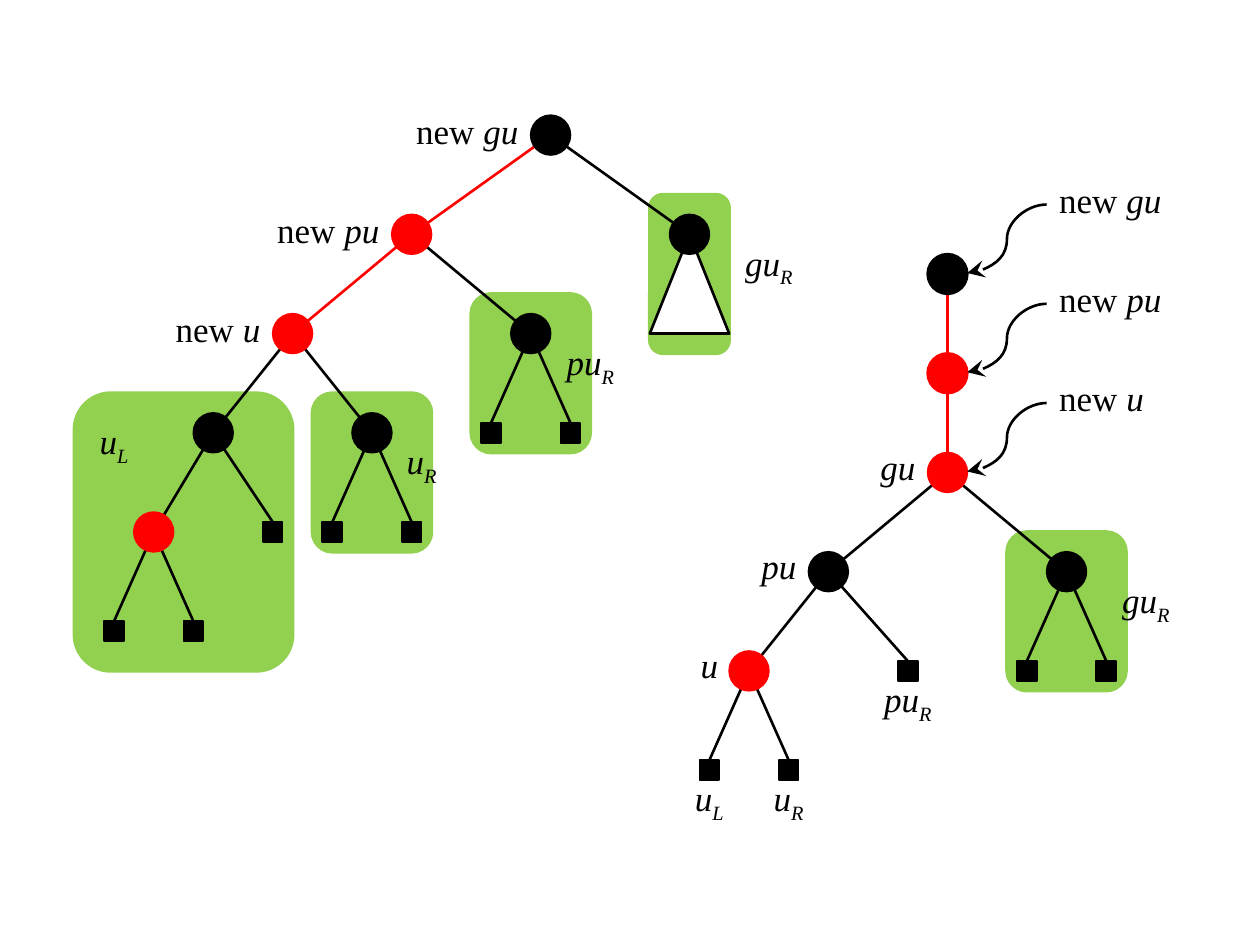
from dataclasses import dataclass
from typing import Any

from lxml.etree import SubElement
from pptx import Presentation
from pptx.dml.color import RGBColor as RGB
from pptx.enum.shapes import MSO_CONNECTOR as Link, MSO_SHAPE as Kind
from pptx.enum.text import MSO_ANCHOR as Anchor, PP_ALIGN as Align
from pptx.oxml.ns import qn
from pptx.util import Pt


@dataclass(frozen=True)
class Theme:
    black: RGB = RGB(0, 0, 0)
    white: RGB = RGB(255, 255, 255)
    red: RGB = RGB(255, 0, 0)
    green: RGB = RGB(0x92, 0xD0, 0x50)
    font: str = "Times New Roman"
    size: float = 20
    edge: float = 1.5
    rim: float = 1
    step: float = 11.34
    left: float = -2.88
    top: float = -2.16


THEME = Theme()
LEVEL = 5
RED, BLACK = THEME.red, THEME.black


@dataclass(frozen=True)
class Box:
    x: float
    y: float
    w: float
    h: float


@dataclass(frozen=True)
class Node:
    x: float
    hue: RGB
    kids: tuple["Node", ...] = ()
    link: RGB = BLACK
    leaf: bool = False
    cone: bool = False
    rim: float = THEME.rim


@dataclass(frozen=True)
class Label:
    box: Box
    name: str
    sub: str = ""
    lead: str = ""
    align: Align = Align.CENTER
    side: float = 7.2


def px(x: float) -> Pt:
    return Pt(x * THEME.step + THEME.left)


def py(y: float) -> Pt:
    return Pt(y * THEME.step + THEME.top)


def span(n: float) -> Pt:
    return Pt(n * THEME.step)


def place(box: Box) -> tuple[Pt, Pt, Pt, Pt]:
    return px(box.x), py(box.y), span(box.w), span(box.h)


def shape(page: Any, kind: Kind, box: Box, fill: RGB, line: RGB, width: float) -> None:
    item = page.shapes.add_shape(kind, *place(box))
    item.shadow.inherit = False
    item.fill.solid()
    item.fill.fore_color.rgb = fill
    item.line.color.rgb = line
    item.line.width = Pt(width)


def join(page: Any, kind: Link, x: float, y: float, to_x: float, to_y: float,
         hue: RGB, arrow: bool = False) -> None:
    item = page.shapes.add_connector(kind, px(x), py(y), px(to_x), py(to_y))
    item.line.color.rgb = hue
    item.line.width = Pt(THEME.edge)
    if arrow:
        SubElement(item.line._get_or_add_ln(), qn("a:tailEnd"),
                   type="stealth", w="lg", len="lg")
    SubElement(item._element.spPr, qn("a:effectLst"))


def tree(page: Any, node: Node, y: float) -> None:
    for kid in node.kids:
        end = y + LEVEL - (0.5 if kid.leaf else 0)
        join(page, Link.STRAIGHT, node.x, y, kid.x, end, kid.link)
        tree(page, kid, y + LEVEL)
    if node.cone:
        shape(page, Kind.ISOSCELES_TRIANGLE, Box(node.x - 2, y, 4, LEVEL),
              THEME.white, BLACK, THEME.edge)
    kind, half = (Kind.RECTANGLE, 0.5) if node.leaf else (Kind.OVAL, 1)
    shape(page, kind, Box(node.x - half, y - half, 2 * half, 2 * half),
          node.hue, node.hue, node.rim)


def write(page: Any, label: Label) -> None:
    frame = page.shapes.add_textbox(*place(label.box)).text_frame
    frame.word_wrap = True
    frame.vertical_anchor = Anchor.MIDDLE if label.lead else Anchor.BOTTOM
    frame.margin_left = frame.margin_right = Pt(label.side)
    frame.margin_top = Pt(0)
    frame.margin_bottom = Pt(5.76 if label.lead else 2.88)
    para = frame.paragraphs[0]
    para.alignment = label.align
    parts = ((label.lead, False, False), (label.name, True, False), (label.sub, True, True))
    for text, slant, low in parts:
        if not text:
            continue
        run = para.add_run()
        run.text = text
        run.font.name = THEME.font
        run.font.size = Pt(THEME.size)
        run.font.color.rgb = BLACK
        run.font.italic = slant
        if low:
            run._r.get_or_add_rPr().set("baseline", "-25000")


def leaf(x: float) -> Node:
    return Node(x, BLACK, leaf=True)


def fork(x: float, hue: RGB = BLACK) -> Node:
    return Node(x, hue, (leaf(x - 2), leaf(x + 2)))


U_LEFT = Node(11, BLACK, (fork(8, RED), leaf(14)))
NEW_U = Node(15, RED, (U_LEFT, fork(19)), RED)
NEW_PU = Node(21, RED, (NEW_U, fork(27)), RED)
NEW_GU = Node(28, BLACK, (NEW_PU, Node(35, BLACK, cone=True)))

PU = Node(42, BLACK, (fork(38, RED), leaf(46)))
GU = Node(48, RED, (PU, fork(54)), RED)
CHAIN = Node(48, BLACK, (Node(48, RED, (GU,), RED, rim=THEME.edge),), rim=THEME.edge)

ZONES = (Box(4, 20, 11, 14), Box(16, 20, 6, 8), Box(24, 15, 6, 8),
         Box(33, 10, 4, 8), Box(51, 27, 6, 8))

LABELS = (
    Label(Box(4, 22, 4, 2), "u", "L"),
    Label(Box(20, 23, 3, 2), "u", "R", side=4),
    Label(Box(28, 18, 4, 2), "pu", "R", side=4),
    Label(Box(37, 13, 4, 2), "gu", "R", side=4),
    Label(Box(34, 40, 4, 2), "u", "L"),
    Label(Box(38, 40, 4, 2), "u", "R"),
    Label(Box(44, 35, 4, 2), "pu", "R", side=4),
    Label(Box(56, 30, 4, 2), "gu", "R", side=4),
    Label(Box(44, 23, 3, 2), "gu", side=4),
    Label(Box(38, 28, 3, 2), "pu", side=4),
    Label(Box(35, 33, 2, 2), "u", side=4),
)

STEPS = (("gu", 27, 7), ("pu", 20, 7), ("u", 14, 6))


def main() -> None:
    deck = Presentation()
    deck.slide_width, deck.slide_height = Pt(720), Pt(540)
    page = deck.slides.add_slide(deck.slide_layouts[6])
    for zone in ZONES:
        shape(page, Kind.FLOWCHART_ALTERNATE_PROCESS, zone, THEME.green, THEME.green, 2)
    tree(page, NEW_GU, 7)
    tree(page, CHAIN, 14)
    for label in LABELS:
        write(page, label)
    for rank, (name, right, wide) in enumerate(STEPS):
        drop = rank * LEVEL
        write(page, Label(Box(right - wide, 6 + drop, wide, 2), name,
                          lead="new ", align=Align.RIGHT))
        write(page, Label(Box(53, 9 + drop, wide, 3), name,
                          lead="new ", align=Align.LEFT))
        join(page, Link.CURVE, 53, 10.5 + drop, 49, 13.95 + drop, BLACK, arrow=True)
    deck.save("out.pptx")


if __name__ == "__main__":
    main()
